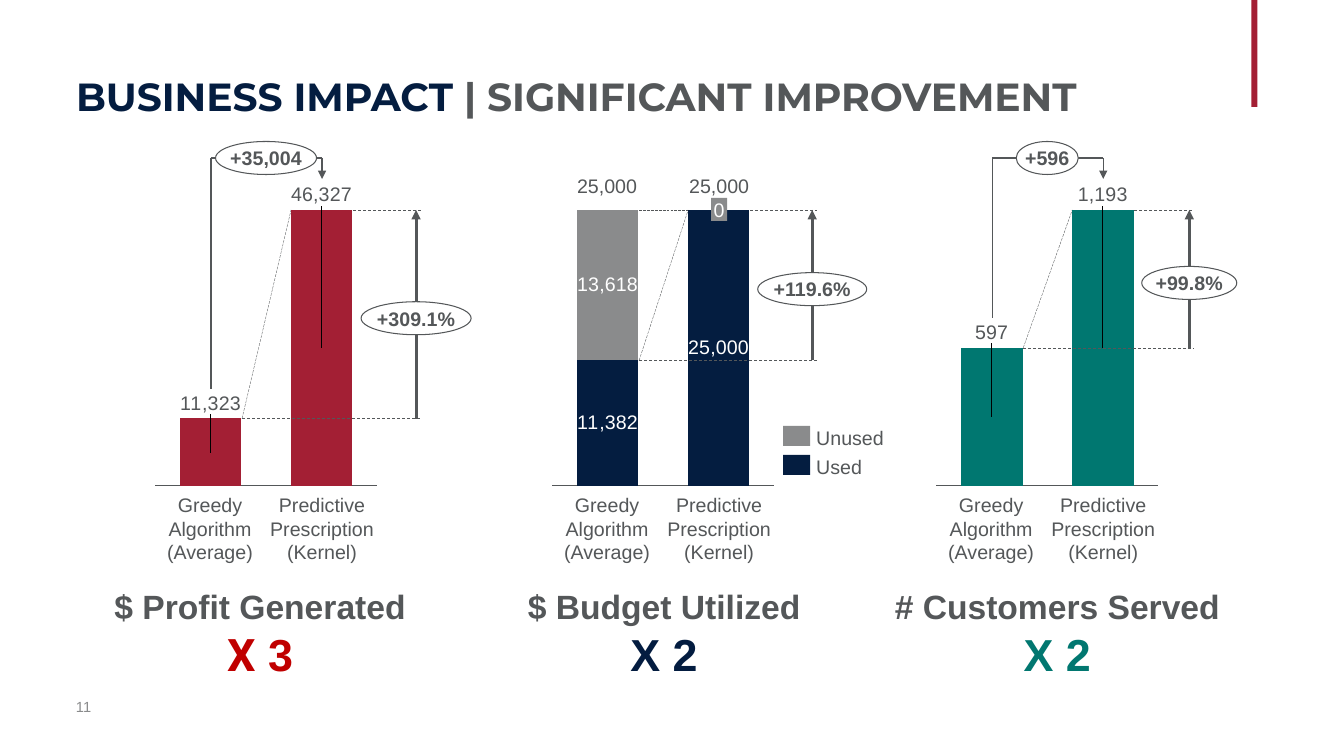
"""Business impact slide: three before/after column charts with growth marks."""
from lxml.etree import SubElement
from pptx import Presentation
from pptx.chart.data import CategoryChartData
from pptx.dml.color import RGBColor
from pptx.enum.chart import XL_CHART_TYPE, XL_TICK_LABEL_POSITION, XL_TICK_MARK
from pptx.enum.dml import MSO_LINE
from pptx.enum.shapes import MSO_CONNECTOR, MSO_SHAPE
from pptx.enum.text import MSO_ANCHOR, PP_ALIGN
from pptx.oxml import parse_xml
from pptx.oxml.ns import nsdecls, qn
from pptx.util import Inches, Pt

INK = {"red": "A31F34", "navy": "041D40", "teal": "007770", "gray": "8A8B8C",
       "text": "545759", "white": "FFFFFF", "bright": "C00000",
       "deep": "031C40", "sea": "017770"}
TITLE = [("BUSINESS IMPACT ", "navy"), ("| SIGNIFICANT IMPROVEMENT", "text")]
BARS = [(55, 87, "Greedy Algorithm (Average)"),
        (167, 105, "Predictive Prescription (Kernel)")]
PANELS = [
    {"left": 155, "frame": (77, 161, 380, 359), "data": [("red", (11323, 46327))],
     "arrow": 416, "rise": ("+309.1%", 110), "gain": ("+35,004", 101),
     "head": ("$ Profit Generated", 97, 326), "times": [("X", "Roboto"), (" 3", "Arial")],
     "tint": "bright"},
    {"left": 552, "frame": (474, 175, 380, 344),
     "data": [("navy", (11382, 25000)), ("gray", (13618, 0))],
     "arrow": 812, "rise": ("+119.6%", 109), "gain": None,
     "head": ("$ Budget Utilized", 511, 306), "times": [("X 2", "Arial")], "tint": "deep"},
    {"left": 936, "frame": (884, 161, 326, 359), "data": [("teal", (597, 1193))],
     "arrow": 1189, "rise": ("+99.8%", 95), "gain": ("+596", 62),
     "head": ("# Customers Served", 877, 360), "times": [("X 2", "Arial")], "tint": "sea"},
]
LEGEND = [("Unused", "gray"), ("Used", "navy")]
TOP, BASE, WIDE, LIFT = 210, 486, 222, 158
TALL = BASE - TOP
FMT = "#,##0"
EXT = ('<c:extLst %s><c:ext uri="{CE6537A1-D6FC-4f65-9D91-7224C49458BB}" '
       'xmlns:c15="http://schemas.microsoft.com/office/drawing/2012/chart">'
       '<c15:showLeaderLines val="1"/></c:ext></c:extLst>' % nsdecls("c"))

deck = Presentation()
deck.slide_width, deck.slide_height = Inches(13.33), Inches(7.5)
slide = deck.slides.add_slide(deck.slide_layouts[6])
shapes = slide.shapes


def emu(*nums):
    return [round(n * 914400 / 100.8) for n in nums]


def rgb(name):
    return RGBColor.from_string(INK[name])


def style(font, size, color="text", bold=False, face="Arial"):
    font.size, font.bold, font.name = Pt(size), bold, face
    font.color.rgb = rgb(color)


def write(lines, box=None, shape=None, align=PP_ALIGN.CENTER,
          anchor=MSO_ANCHOR.MIDDLE, wrap=False, pad=(0, 0), **form):
    """Fill a box with lines, each a list of (text, format) runs."""
    frame = (shape or shapes.add_textbox(*emu(*box))).text_frame
    frame.word_wrap, frame.vertical_anchor = wrap, anchor
    frame.margin_left = frame.margin_right = Inches(pad[0])
    frame.margin_top = frame.margin_bottom = Inches(pad[1])
    if isinstance(lines, str):
        lines = [[(lines, {})]]
    for i, runs in enumerate(lines):
        para = frame.paragraphs[0] if i == 0 else frame.add_paragraph()
        para.alignment = align
        for text, extra in runs:
            run = para.add_run()
            run.text = text
            style(run.font, **{"size": 14, **form, **extra})


def block(kind, box, fill, edge=None):
    shape = shapes.add_shape(kind, *emu(*box))
    shape.shadow.inherit = False
    shape.fill.solid()
    shape.fill.fore_color.rgb = rgb(fill)
    if edge:
        shape.line.color.rgb = rgb(edge)
        shape.line.width = Pt(0.75)
    else:
        shape.line.fill.background()
    return shape


def rule(x1, y1, x2, y2, width, dash=None, arrow=False):
    line = shapes.add_connector(MSO_CONNECTOR.STRAIGHT, *emu(x1, y1, x2, y2))
    line.line.color.rgb = rgb("text")
    line.line.width = Pt(width)
    if dash:
        line.line.dash_style = dash
    if arrow:
        SubElement(line.line._get_or_add_ln(), qn("a:tailEnd"), type="triangle")
    SubElement(line._element.spPr, qn("a:effectLst"))


def oval(mid, y, label):
    text, wide = label
    shape = block(MSO_SHAPE.OVAL, (mid - wide / 2, y - 16.5, wide, 33), "white", "text")
    write(text, shape=shape, bold=True)


def layout(**nums):
    tags = "".join(f'<c:{k} val="{v}"/>' for k, v in nums.items())
    return parse_xml(f'<c:layout {nsdecls("c")}><c:manualLayout>{tags}'
                     '</c:manualLayout></c:layout>')


def columns(left, frame, data, peak):
    source = CategoryChartData(number_format=FMT)
    source.categories = ["1", "2"]
    for i, (_, vals) in enumerate(data, 1):
        source.add_series(f"Series {i}", vals)
    chart = shapes.add_chart(XL_CHART_TYPE.COLUMN_STACKED, *emu(*frame), source).chart
    chart.has_legend = chart.has_title = False
    style(chart.font, 10)
    axis = chart.category_axis
    axis.tick_label_position = XL_TICK_LABEL_POSITION.NONE
    axis.major_tick_mark = axis.minor_tick_mark = XL_TICK_MARK.NONE
    axis.format.line.color.rgb = rgb("text")
    axis.format.line.width = Pt(0.75)
    value = chart.value_axis
    value.visible = value.has_major_gridlines = False
    value.minimum_scale, value.maximum_scale = 0, peak
    plot = chart.plots[0]
    plot.gap_width, plot.overlap, plot.vary_by_categories = 80, 100, False
    x, y, wide, high = frame
    area = chart.element.find(".//" + qn("c:plotArea"))
    for old in area.findall(qn("c:layout")):
        area.remove(old)
    spots = {"x": (left - x) / wide, "y": (TOP - y) / high, "w": WIDE / wide, "h": TALL / high}
    area.insert(0, layout(layoutTarget="inner", xMode="edge", yMode="edge",
                          **{k: round(v, 4) for k, v in spots.items()}))
    lone = len(data) == 1
    for series, (color, vals) in zip(plot.series, data):
        series.format.fill.solid()
        series.format.fill.fore_color.rgb = rgb(color)
        series.data_labels.show_value = False
        for i, val in enumerate(vals):
            if val:
                style(series.points[i].data_label.font, 14, "text" if lone else "white")
        labels = series.data_labels._element
        for tag, val in zip(labels.findall(qn("c:dLbl")), filter(None, vals)):
            tag.insert(1, parse_xml(f'<c:numFmt {nsdecls("c")} formatCode="{FMT}" '
                                    'sourceLinked="0"/>'))
            if lone:
                shift = -(TALL * val / peak / 2 + 15) / high
                tag.insert(1, layout(x=0, y=round(shift, 4)))
        if lone:
            labels.append(parse_xml(EXT))


def panel(left, frame, data, arrow, rise, gain, head, times, tint):
    first = data[0][1]
    peak = first[1]
    low = BASE - TALL * first[0] / peak
    rule(left + 87, low, left + 136, TOP, 0.25, MSO_LINE.LONG_DASH)
    if not gain:
        rule(left + 87, TOP, left + 136, TOP, 0.25, MSO_LINE.LONG_DASH)
    columns(left, frame, data, peak)
    rule(left + 198, TOP, arrow + 5, TOP, 0.5, MSO_LINE.DASH)
    rule(left + 87, low, arrow + 5, low, 0.5, MSO_LINE.DASH)
    rule(arrow, low, arrow, TOP, 2.25, arrow=True)
    if gain:
        rule(left + 56, low - 30, left + 56, LIFT, 1)
        rule(left + 56, LIFT, left + 167, LIFT, 1)
        rule(left + 167, LIFT, left + 167, 179, 1, arrow=True)
        oval(left + 111, LIFT, gain)
    oval(arrow, (TOP + low) / 2 + 4, rise)
    for mid, wide, text in BARS:
        write(text, (left + mid - wide / 2, 493, wide, 70), wrap=True, anchor=MSO_ANCHOR.TOP)
        if not gain:
            write(f"{peak:,}", (left + mid - 33, 174, 66, 23), anchor=MSO_ANCHOR.BOTTOM)
    text, x, wide = head
    factor = [(t, {"size": 32, "color": tint, "face": f}) for t, f in times]
    write([[(text, {"size": 24})], factor], (x, 581, wide, 105),
          anchor=MSO_ANCHOR.TOP, pad=(0.1, 0.05), bold=True)


block(MSO_SHAPE.RECTANGLE, (1251, 0, 6, 107), "red")
write("11", (76, 687, 27, 40), align=PP_ALIGN.LEFT, size=10.5, color="gray")
write([[(t, {"color": c}) for t, c in TITLE]], (76, 33, 1119, 125), wrap=True,
      align=PP_ALIGN.LEFT, size=28, bold=True, face="Montserrat")
for item in PANELS:
    panel(**item)
write("0", shape=block(MSO_SHAPE.RECTANGLE, (711, 198, 16, 23), "gray"), color="white")
for i, (text, color) in enumerate(LEGEND):
    y = 426 + 29 * i
    block(MSO_SHAPE.RECTANGLE, (783, y, 27, 20), color)
    write(text, (816, y, 75, 23), align=PP_ALIGN.LEFT, wrap=True)
deck.save("out.pptx")
